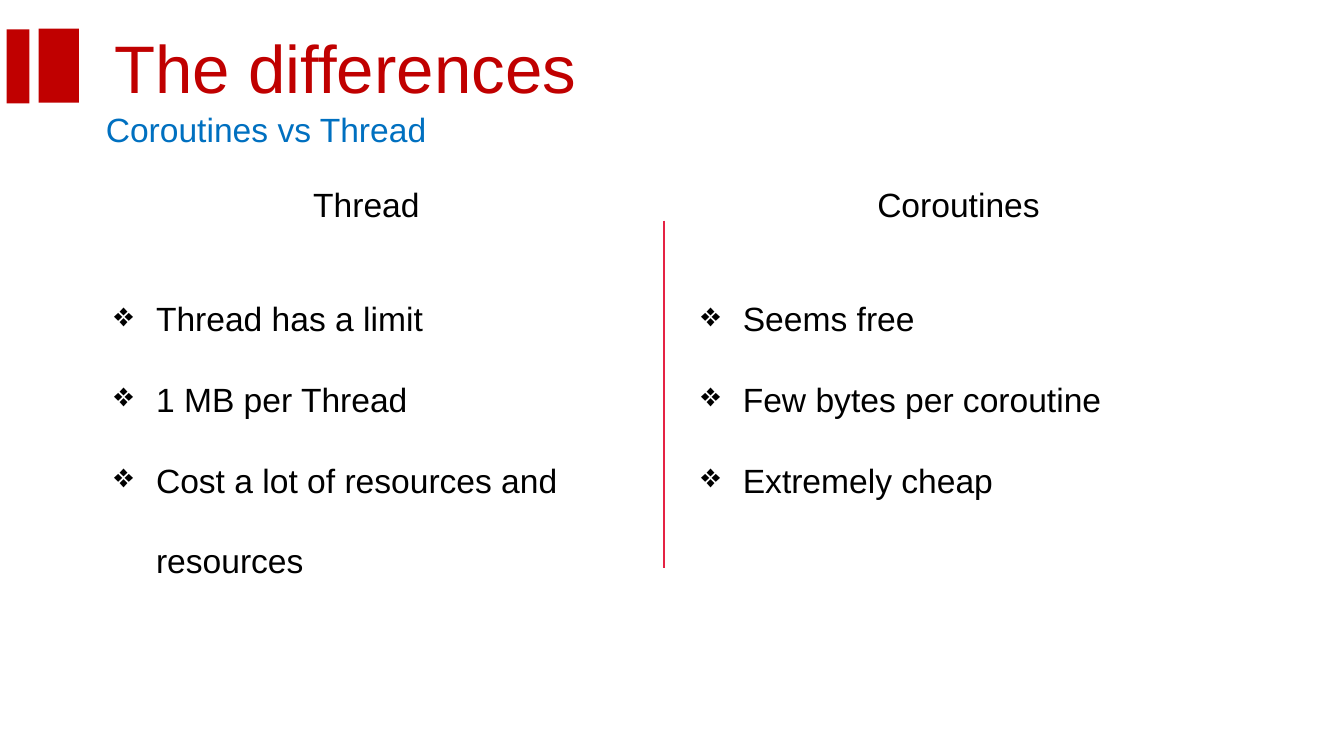
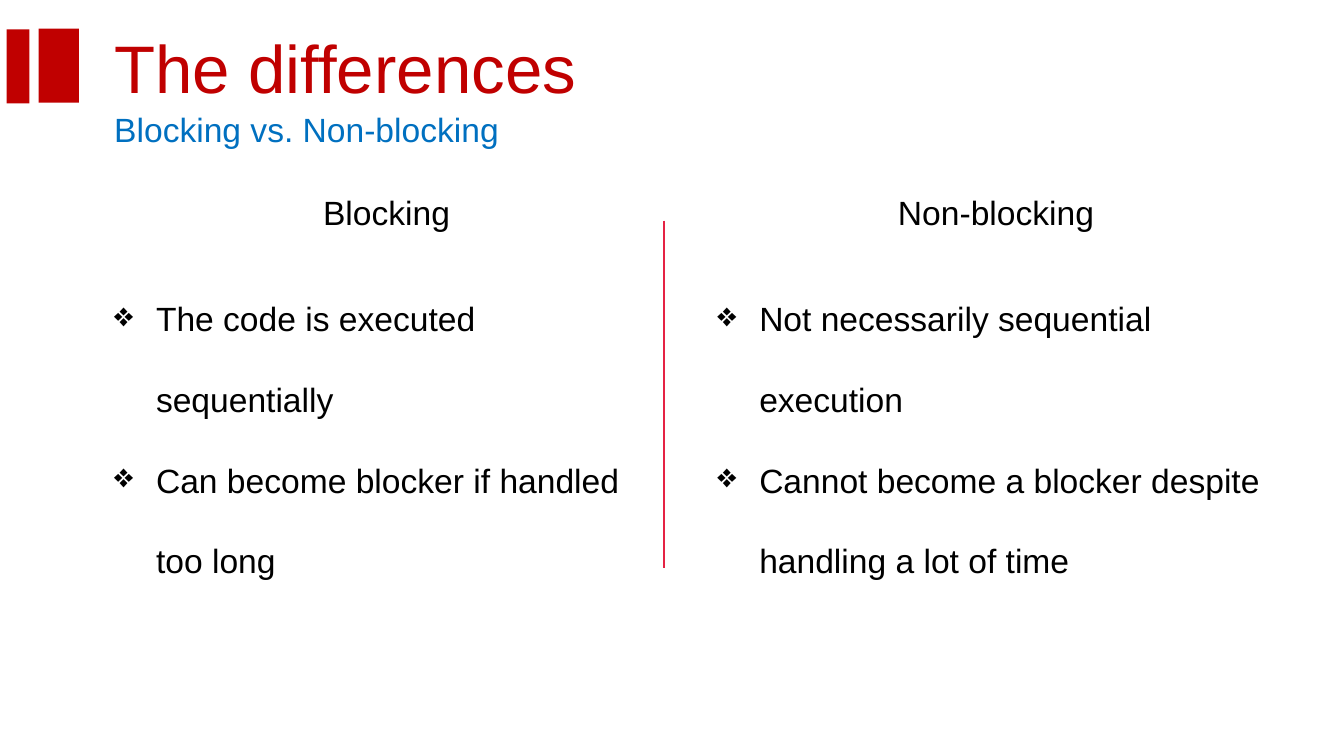
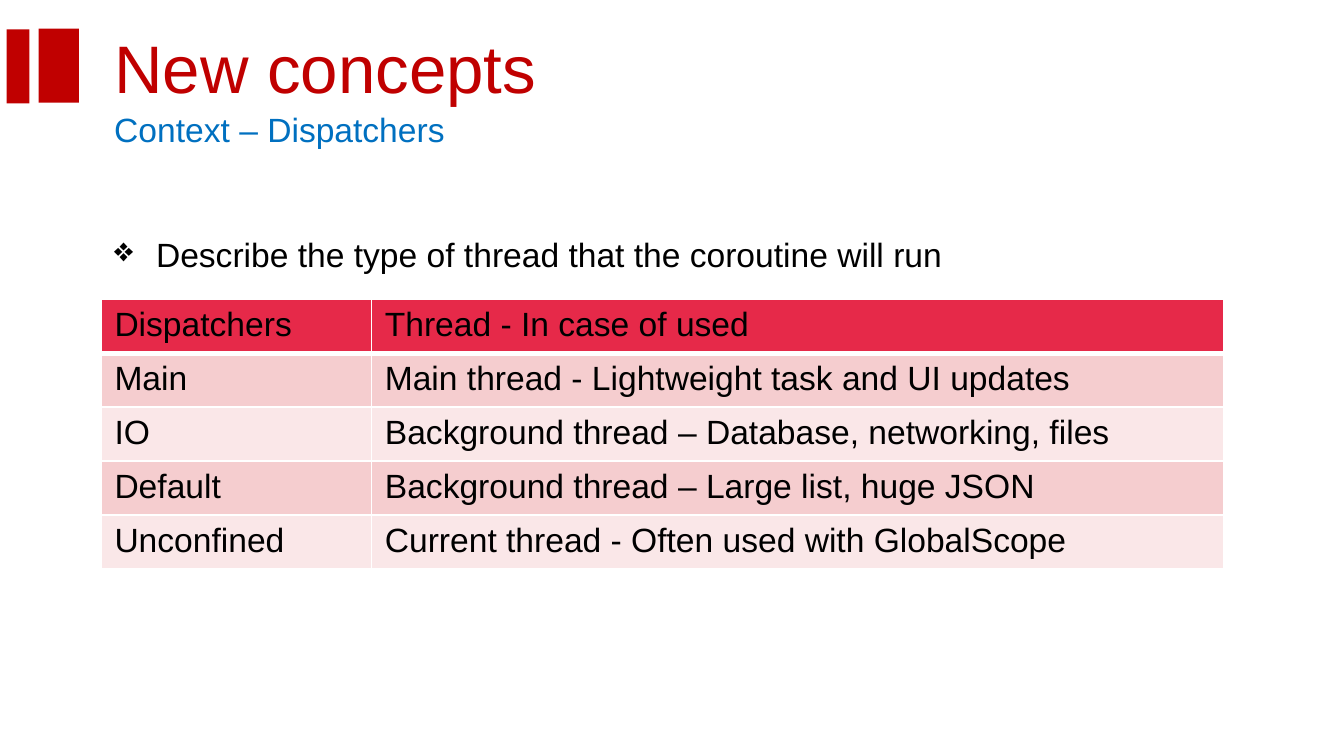
import dataclasses

import pptx
import pptx.dml.color
import pptx.enum.shapes
import pptx.enum.text
import pptx.oxml
import pptx.oxml.ns
import pptx.util
from pptx.util import Cm

ALIGN = pptx.enum.text.PP_ALIGN
ANCHOR = pptx.enum.text.MSO_ANCHOR
AUTOFIT = pptx.enum.text.MSO_AUTO_SIZE


# Shared colours, type sizes and measures
@dataclasses.dataclass(frozen=True)
class Theme:
    font: str = "Arial"
    title_size: int = 36
    body_size: int = 18
    title: str = "C00000"
    subtitle: str = "0070C0"
    text: str = "000000"
    divider: str = "E52344"
    header_fill: str = "E62949"
    row_fills: tuple = ("F5CDCF", "FAE7E8")
    border: str = "FFFFFF"
    border_width: float = 0.96
    header_rule_width: float = 3
    margin: float = 1.91
    line_height: float = 1.02


THEME = Theme()


def rgb(color):
    return pptx.dml.color.RGBColor.from_string(color)


def add_xml(parent, xml):
    namespace = pptx.oxml.ns.nsdecls("a")
    tag, rest = xml[1:].split(" ", 1)
    parent.append(pptx.oxml.parse_xml(f"<{tag} {namespace} {rest}"))


# Text
def write(paragraph, text, size=THEME.body_size, color=THEME.text, align=None,
          spacing=None, bullet=False):
    run = paragraph.add_run()
    run.text = text
    run.font.name = THEME.font
    run.font.size = pptx.util.Pt(size)
    run.font.color.rgb = rgb(color)
    if align is not None:
        paragraph.alignment = align
    if spacing is not None:
        paragraph.line_spacing = spacing
    if bullet:
        properties = paragraph._p.get_or_add_pPr()
        indent = Cm(0.79)
        properties.set("marL", str(indent))
        properties.set("indent", str(-indent))
        add_xml(properties, f'<a:buClr ><a:srgbClr val="{color}"/></a:buClr>')
        add_xml(properties, '<a:buChar char="❖"/>')


def add_text(slide, lines, left, top, width, height, anchor=ANCHOR.TOP,
             autofit=AUTOFIT.SHAPE_TO_FIT_TEXT, **text_format):
    box = slide.shapes.add_textbox(Cm(left), Cm(top), Cm(width), Cm(height))
    frame = box.text_frame
    frame.word_wrap = True
    frame.auto_size = autofit
    frame.vertical_anchor = anchor
    for index, line in enumerate(lines):
        paragraph = frame.add_paragraph() if index else frame.paragraphs[0]
        write(paragraph, line, **text_format)


# Heading with its two red bars
def add_bar(slide, left, top, length, thickness):
    bar = slide.shapes.add_shape(pptx.enum.shapes.MSO_SHAPE.RECTANGLE,
                                 Cm(left), Cm(top), Cm(length), Cm(thickness))
    bar.rotation = 90
    bar.shadow.inherit = False
    bar.fill.solid()
    bar.fill.fore_color.rgb = rgb(THEME.title)
    bar.line.fill.background()


def add_heading(slide, title, title_width, subtitle, subtitle_width,
                subtitle_left=THEME.margin):
    add_text(slide, [title], THEME.margin, 0.38, title_width, 1.75,
             anchor=ANCHOR.MIDDLE, autofit=AUTOFIT.NONE,
             size=THEME.title_size, color=THEME.title)
    add_text(slide, [subtitle], subtitle_left, 1.93, subtitle_width,
             THEME.line_height, color=THEME.subtitle)
    add_bar(slide, 0.41, 0.86, 1.4, 0.76)
    add_bar(slide, -0.36, 1.04, 1.4, 0.43)


# Comparison columns
def add_divider(slide):
    divider = slide.shapes.add_connector(
        pptx.enum.shapes.MSO_CONNECTOR.STRAIGHT,
        Cm(12.55), Cm(4.17), Cm(12.55), Cm(10.74))
    divider.line.color.rgb = rgb(THEME.divider)
    divider.line.width = pptx.util.Pt(0.75)
    add_xml(divider._element.spPr, "<a:effectLst />")


def add_column(slide, label, label_left, label_top, points, left, width, height):
    add_text(slide, points, left, 4.75, width, height, spacing=2.0, bullet=True)
    add_text(slide, [label], label_left, label_top, 6.81, THEME.line_height,
             align=ALIGN.CENTER)


# Table
def style_cell(cell, text, fill, top_width, bottom_width):
    properties = cell._tc.get_or_add_tcPr()
    widths = {"L": THEME.border_width, "R": THEME.border_width,
              "T": top_width, "B": bottom_width}
    for side, width in widths.items():
        add_xml(properties,
                f'<a:ln{side} w="{pptx.util.Pt(width)}"><a:solidFill>'
                f'<a:srgbClr val="{THEME.border}"/></a:solidFill></a:ln{side}>')
    cell.fill.solid()
    cell.fill.fore_color.rgb = rgb(fill)
    write(cell.text_frame.paragraphs[0], text)


def add_dispatcher_table(slide, rows, left, top, column_widths):
    table = slide.shapes.add_table(
        len(rows), len(column_widths), Cm(left), Cm(top),
        Cm(sum(column_widths)), Cm(THEME.line_height * len(rows))).table
    for column, width in zip(table.columns, column_widths):
        column.width = Cm(width)
    for r, row in enumerate(rows):
        fill = THEME.row_fills[(r - 1) % 2] if r else THEME.header_fill
        top_width = THEME.header_rule_width if r == 1 else THEME.border_width
        bottom_width = THEME.header_rule_width if r == 0 else THEME.border_width
        for c, text in enumerate(row):
            style_cell(table.cell(r, c), text, fill, top_width, bottom_width)


# Slides
def build_thread_slide(slide):
    add_heading(slide, "The differences", 12.78, "Coroutines vs Thread", 6.81,
                subtitle_left=1.75)
    add_column(slide, "Thread ", 3.61, 3.35,
               ["Thread has a limit", "1 MB per Thread",
                "Cost a lot of resources and resources"],
               THEME.margin, 10.21, 6.4)
    add_column(slide, "Coroutines", 14.71, 3.35,
               ["Seems free", "Few bytes per coroutine", "Extremely cheap"],
               13, 10.21, 4.88)
    add_divider(slide)


def build_blocking_slide(slide):
    add_heading(slide, "The differences", 16.08, "Blocking vs. Non-blocking", 8)
    add_column(slide, "Blocking ", 3.99, 3.51,
               ["The code is executed sequentially",
                "Can become blocker if handled too long"],
               THEME.margin, 10.21, 6.4)
    add_column(slide, "Non-blocking", 15.42, 3.51,
               ["Not necessarily sequential execution",
                "Cannot become a blocker despite handling a lot of time"],
               13.31, 11, 7.19)
    add_divider(slide)


def build_dispatchers_slide(slide):
    add_heading(slide, "New concepts", 8.51, "Context – Dispatchers", 10.39)
    add_text(slide, ["Describe the type of thread that the coroutine will run"],
             THEME.margin, 3.91, 21.21, 1.27, spacing=1.5, bullet=True)
    add_dispatcher_table(slide, [
        ("Dispatchers", "Thread - In case of used"),
        ("Main", "Main thread - Lightweight task and UI updates"),
        ("IO", "Background thread – Database, networking, files"),
        ("Default", "Background thread – Large list, huge JSON"),
        ("Unconfined", "Current thread - Often used with GlobalScope"),
    ], THEME.margin, 5.66, (5.11, 16.1))


def main():
    deck = pptx.Presentation()
    deck.slide_width, deck.slide_height = Cm(25.4), Cm(14.29)
    blank = deck.slide_layouts[6]
    for build in (build_thread_slide, build_blocking_slide, build_dispatchers_slide):
        build(deck.slides.add_slide(blank))
    deck.save("out.pptx")


if __name__ == "__main__":
    main()
